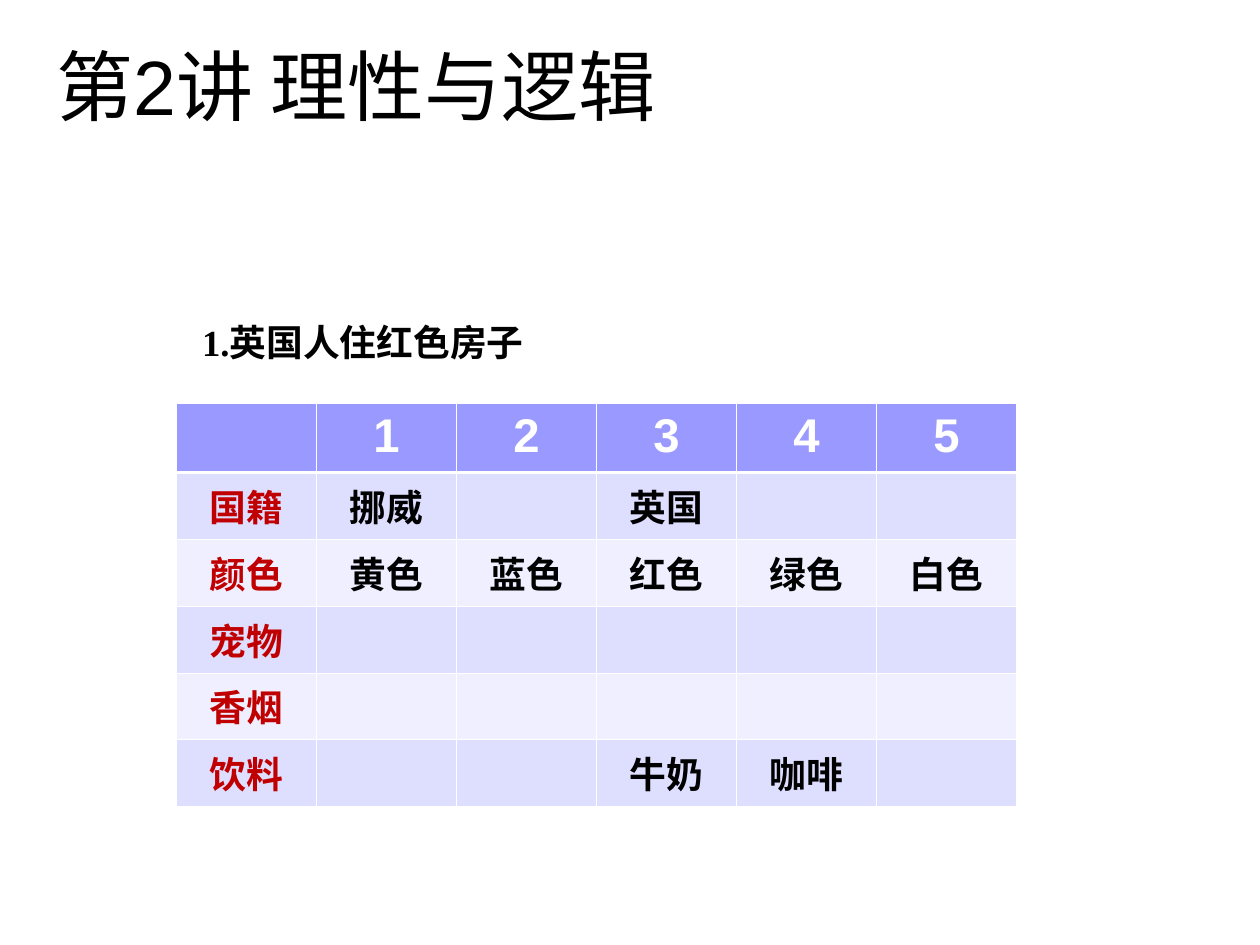
from lxml import etree
from pptx import Presentation
from pptx import util as u
from pptx.dml.color import RGBColor
from pptx.enum import text
from pptx.oxml.ns import qn


def style(paragraph, size, color, font="Arial", bold=False):
    for run in paragraph.runs:
        run.font.size = u.Pt(size)
        run.font.name = font
        run.font.bold = bold
        run.font.color.rgb = RGBColor.from_string(color)


def add_border(cell, side, width):
    line = etree.SubElement(cell._tc.get_or_add_tcPr(), qn("a:ln" + side), w=str(u.Pt(width)))
    fill = etree.SubElement(line, qn("a:solidFill"))
    etree.SubElement(fill, qn("a:srgbClr"), val="FFFFFF")


prs = Presentation()
prs.slide_width, prs.slide_height = u.Inches(10), u.Inches(7.5)
slide = prs.slides.add_slide(prs.slide_layouts[6])

# Lecture title
title = slide.shapes.add_textbox(u.Inches(0.35), u.Inches(-0.08), u.Inches(9), u.Inches(1.5)).text_frame
title.word_wrap = True
title.vertical_anchor = text.MSO_ANCHOR.MIDDLE
title.text = "第2讲 理性与逻辑"
style(title.paragraphs[0], 44, "000000")

# Puzzle table: five houses and their attributes
houses = [
    ["", "1", "2", "3", "4", "5"],
    ["国籍", "挪威", "", "英国", "", ""],
    ["颜色", "黄色", "蓝色", "红色", "绿色", "白色"],
    ["宠物", "", "", "", "", ""],
    ["香烟", "", "", "", "", ""],
    ["饮料", "", "", "牛奶", "咖啡", ""],
]
row_height = 0.53
grid = slide.shapes.add_table(
    len(houses), len(houses[0]), u.Inches(1.4), u.Inches(3.2),
    u.Inches(6.67), u.Inches(row_height * len(houses))).table

for r, row in enumerate(houses):
    grid.rows[r].height = u.Inches(row_height)
    for c, value in enumerate(row):
        cell = grid.cell(r, c)
        cell.margin_left = cell.margin_right = u.Inches(0.08)
        cell.margin_top = cell.margin_bottom = u.Inches(0.05)

        # White rules, thicker under the header
        for side in "LRTB":
            under_header = (r, side) in [(0, "B"), (1, "T")]
            add_border(cell, side, 1.47 if under_header else 0.45)

        # Header and alternating row colours
        cell.fill.solid()
        band = "9999FF" if r == 0 else "DEDEFF" if r % 2 else "EFEFFF"
        cell.fill.fore_color.rgb = RGBColor.from_string(band)

        if value:
            cell.text_frame.text = value
            entry = cell.text_frame.paragraphs[0]
            entry.alignment = text.PP_ALIGN.CENTER
            color = "FFFFFF" if r == 0 else "C00000" if c == 0 else "000000"
            style(entry, 27 if r == 0 else 21, color, bold=True)

# Clue above the table
clue = slide.shapes.add_textbox(u.Inches(1.47), u.Inches(2.49), u.Inches(2.82), u.Inches(0.8)).text_frame
clue.word_wrap = False
clue.auto_size = text.MSO_AUTO_SIZE.SHAPE_TO_FIT_TEXT
clue.text = "1.英国人住红色房子"
clue.paragraphs[0].alignment = text.PP_ALIGN.CENTER
style(clue.paragraphs[0], 21, "000000", "Times New Roman", True)

prs.save("out.pptx")
